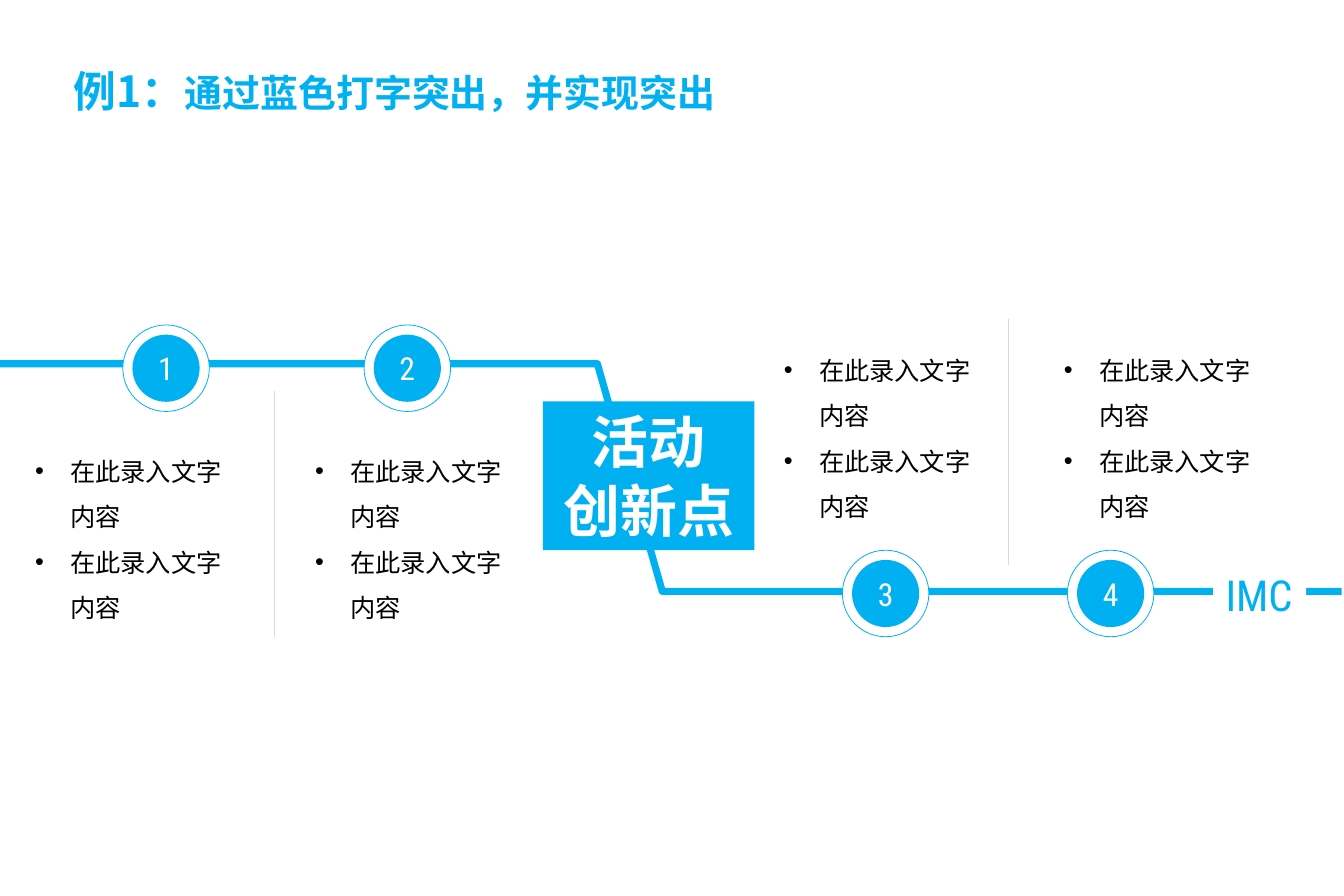
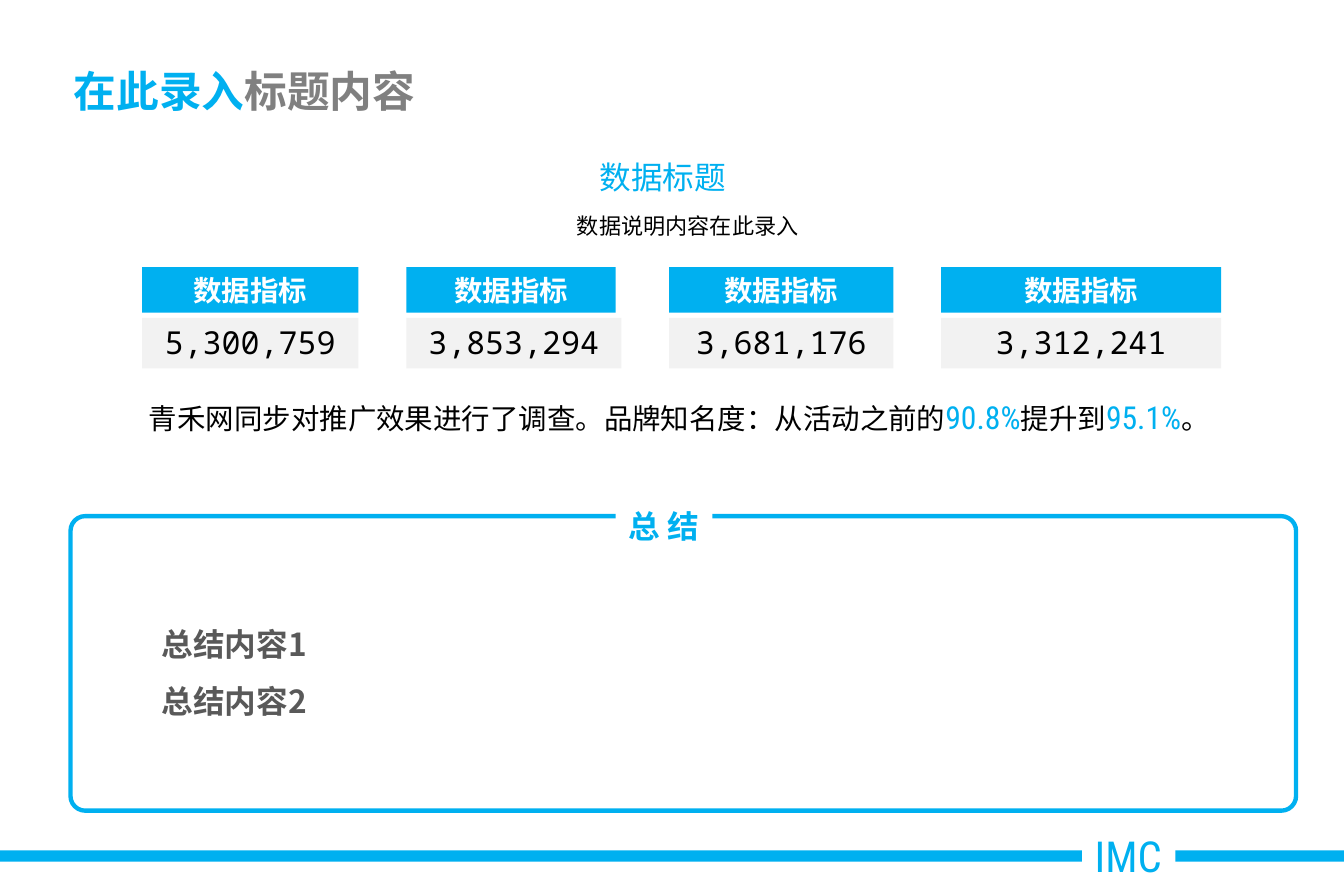
from collections import namedtuple

from lxml import etree
from pptx import Presentation
from pptx.dml.color import RGBColor
from pptx.enum.shapes import MSO_CONNECTOR, MSO_SHAPE
from pptx.enum.text import MSO_ANCHOR, MSO_AUTO_SIZE, PP_ALIGN
from pptx.oxml.ns import qn
from pptx.util import Inches, Pt

WIDTH, HEIGHT = Pt(850.5), Pt(567)
COLUMN, ROW = WIDTH / 100, HEIGHT / 100  # a grid of 100 by 100

COLORS = {
    "blue": "00B0F0", "white": "FFFFFF", "black": "000000", "gray": "808080",
    "dark": "595959", "rule": "D9D9D9", "panel": "F2F2F2",
}
CJK, CONDENSED, MONO = "Noto Sans CJK SC", "Roboto Condensed", "Noto Sans Mono"
TITLE_BOX = (4.57, 6.22, 90, 7.87)
WIDE_INSETS = (0.11, 0.06)

Style = namedtuple("Style", "size color font bold", defaults=("black", CJK, False))
TITLE = Style(27, "blue", CJK, True)
BODY = Style(18)
FIGURE = Style(20, "blue", CONDENSED)


def rgb(name):
    return RGBColor.from_string(COLORS[name])


def place(box):
    """Turn columns and rows into slide lengths."""
    return [round(value * unit) for value, unit in zip(box, (COLUMN, ROW) * 2)]


def format_run(run, style):
    run.font.size = Pt(style.size)
    run.font.bold = style.bold
    run.font.color.rgb = rgb(style.color)
    run.font.name = style.font
    east_asian = etree.SubElement(run.font._element, qn("a:ea"))
    east_asian.set("typeface", CJK)


def add_bullet(paragraph):
    properties = paragraph._p.get_or_add_pPr()
    properties.set("marL", str(Inches(0.31)))
    properties.set("indent", str(-Inches(0.31)))
    etree.SubElement(properties, qn("a:buFont")).set("typeface", "Arial")
    etree.SubElement(properties, qn("a:buChar")).set("char", "•")


def write(shape, paragraphs, align=PP_ALIGN.LEFT, anchor=MSO_ANCHOR.TOP, wrap=True,
          grow=True, spacing=None, bullet=False, insets=(0.1, 0.05)):
    """Fill a shape with paragraphs, each a list of (text, style)."""
    frame = shape.text_frame
    frame.word_wrap = wrap
    frame.vertical_anchor = anchor
    frame.margin_left = frame.margin_right = Inches(insets[0])
    frame.margin_top = frame.margin_bottom = Inches(insets[1])
    frame.auto_size = MSO_AUTO_SIZE.SHAPE_TO_FIT_TEXT if grow else MSO_AUTO_SIZE.NONE
    for index, runs in enumerate(paragraphs):
        paragraph = frame.add_paragraph() if index else frame.paragraphs[0]
        if bullet:
            add_bullet(paragraph)
        paragraph.alignment = align
        if spacing:
            paragraph.line_spacing = spacing
        for text, style in runs:
            run = paragraph.add_run()
            run.text = text
            format_run(run, style)


def add_text(slide, box, paragraphs, **options):
    write(slide.shapes.add_textbox(*place(box)), paragraphs, **options)


def add_block(slide, box, fill=None, line=None, weight=0.5, kind=MSO_SHAPE.RECTANGLE):
    shape = slide.shapes.add_shape(kind, *place(box))
    shape.shadow.inherit = False
    if fill:
        shape.fill.solid()
        shape.fill.fore_color.rgb = rgb(fill)
    else:
        shape.fill.background()
    if line:
        shape.line.color.rgb = rgb(line)
        shape.line.width = Pt(weight)
    else:
        shape.line.fill.background()
    return shape


# Parts shared by the slides
def add_title(slide, *runs):
    add_text(slide, TITLE_BOX, [runs], anchor=MSO_ANCHOR.MIDDLE, grow=False,
             insets=WIDE_INSETS)


def add_tag(slide, left, top):
    tag = add_block(slide, (left, top, 6.94, 7.23), "white")
    write(tag, [[("IMC", FIGURE._replace(size=27))]], wrap=False, insets=WIDE_INSETS)


def add_footer(slide):
    add_block(slide, (0, 94.92, 100, 1.27), "blue")
    add_tag(slide, 80.52, 91.88)


# Parts of the timeline
def add_track(slide, upper, lower):
    points = [(0, upper), (44.45, upper), (49.28, lower), (99.83, lower)]
    start, *rest = [place(point) for point in points]
    builder = slide.shapes.build_freeform(*start)
    builder.add_line_segments(rest, close=False)
    track = builder.convert_to_shape()
    track.shadow.inherit = False
    track.fill.background()
    track.line.color.rgb = rgb("blue")
    track.line.width = Pt(4.5)


def add_station(slide, center_x, center_y, number):
    def disc(diameter, fill, line=None):
        height = diameter * COLUMN / ROW
        box = (center_x - diameter / 2, center_y - height / 2, diameter, height)
        return add_block(slide, box, fill, line, kind=MSO_SHAPE.OVAL)

    disc(6.44, "white", "blue")
    write(disc(5, "blue"), [[(str(number), FIGURE._replace(color="white"))]],
          align=PP_ALIGN.CENTER, anchor=MSO_ANCHOR.MIDDLE, grow=False)


def add_notes_pair(slide, left, top, rule_x, rule_y):
    """Two bulleted lists and the rule between them, at an offset."""
    item = [("在此录入文字内容", Style(16))]
    for index in range(2):
        add_text(slide, (left + index * 20.83, top, 16.68, 21.19), [item, item],
                 spacing=1.5, bullet=True)
    x, y, _, length = place((left + rule_x, top + rule_y, 0, 27.41))
    rule = slide.shapes.add_connector(MSO_CONNECTOR.STRAIGHT, x, y, x, y + length)
    rule.line.color.rgb = rgb("rule")
    rule.line.width = Pt(0.75)
    etree.SubElement(rule._element.spPr, qn("a:effectLst"))


def build_timeline(slide):
    add_track(slide, 40.6, 66)
    add_title(slide, ("例1：", TITLE), ("通过蓝色打字突出，并实现突出", TITLE._replace(size=24)))
    stations = [(12.36, 41.1), (30.31, 41.1), (65.9, 66.24), (82.64, 66.24)]
    for number, center in enumerate(stations, 1):
        add_station(slide, *center, number)
    add_tag(slide, 90.26, 62.69)
    topic = add_block(slide, (40.39, 44.8, 15.75, 16.62), "blue")
    heading = Style(36, "white", CJK, True)
    write(topic, [[("活动", heading)], [("创新点", heading)]], align=PP_ALIGN.CENTER)
    add_notes_pair(slide, 1.78, 48.6, 18.63, -4.95)
    add_notes_pair(slide, 57.49, 37.31, 17.53, -1.65)


# Parts of the data slide
def add_metrics(slide, left, top, height, gap):
    """Header and value cells, set side by side with equal gaps."""
    metrics = [("5,300,759", 16.09, 16.09), ("3,853,294", 16, 15.58),
               ("3,681,176", 16.68, 16.68), ("3,312,241", 20.83, 20.83)]
    label = Style(18, "white", "Calibri", True)
    for value, width, header_width in metrics:
        header = add_block(slide, (left, top, header_width, height * 0.45), "blue")
        write(header, [[("数据指标", label)]], align=PP_ALIGN.CENTER)
        cell = add_block(slide, (left, top + height * 0.5, width, height * 0.5), "panel")
        write(cell, [[(value, Style(20, font=MONO))]], align=PP_ALIGN.CENTER)
        left += width + gap


def add_summary(slide, left, top, width, height):
    frame = add_block(slide, (left, top, width, height), line="blue", weight=2.75,
                      kind=MSO_SHAPE.ROUNDED_RECTANGLE)
    frame.adjustments[0] = 0.05
    heading = add_block(slide, (left + 40.56, top - 3.8, 7.2, 7.74), "white")
    write(heading, [[("总 结", Style(20, "blue", CJK, True))]],
          align=PP_ALIGN.CENTER, wrap=False, spacing=1.5)
    point = Style(20, "dark", CJK, True)
    add_text(slide, (left + 5.93, top + 9.4, 50, 14.09),
             [[(f"总结内容{number}", point)] for number in (1, 2)], spacing=1.5)


def build_data(slide):
    add_footer(slide)
    add_title(slide, ("在此录入", TITLE), ("标题内容", TITLE._replace(color="gray")))
    add_metrics(slide, 10.58, 29.82, 11.3, 3.56)
    add_text(slide, (11.09, 23.1, 80.19, 4.31), [[("数据说明内容在此录入", Style(14))]],
             align=PP_ALIGN.CENTER)
    heading = add_block(slide, (43.78, 17.01, 11.18, 5.58), "white")
    write(heading, [[("数据标题", Style(20, "blue"))]], wrap=False)
    add_text(slide, (10.25, 43.78, 81.88, 5.58), [[
        ("青禾网同步对推广效果进行了调查。品牌知名度：从活动之前的", BODY),
        ("90.8%", FIGURE), ("提升到", BODY), ("95.1%", FIGURE), ("。", BODY),
    ]])
    add_summary(slide, 5.25, 57.61, 91.19, 32.87)


def main():
    presentation = Presentation()
    presentation.slide_width, presentation.slide_height = WIDTH, HEIGHT
    blank = presentation.slide_layouts[6]
    for build in (build_timeline, build_data):
        build(presentation.slides.add_slide(blank))
    presentation.save("out.pptx")


if __name__ == "__main__":
    main()
